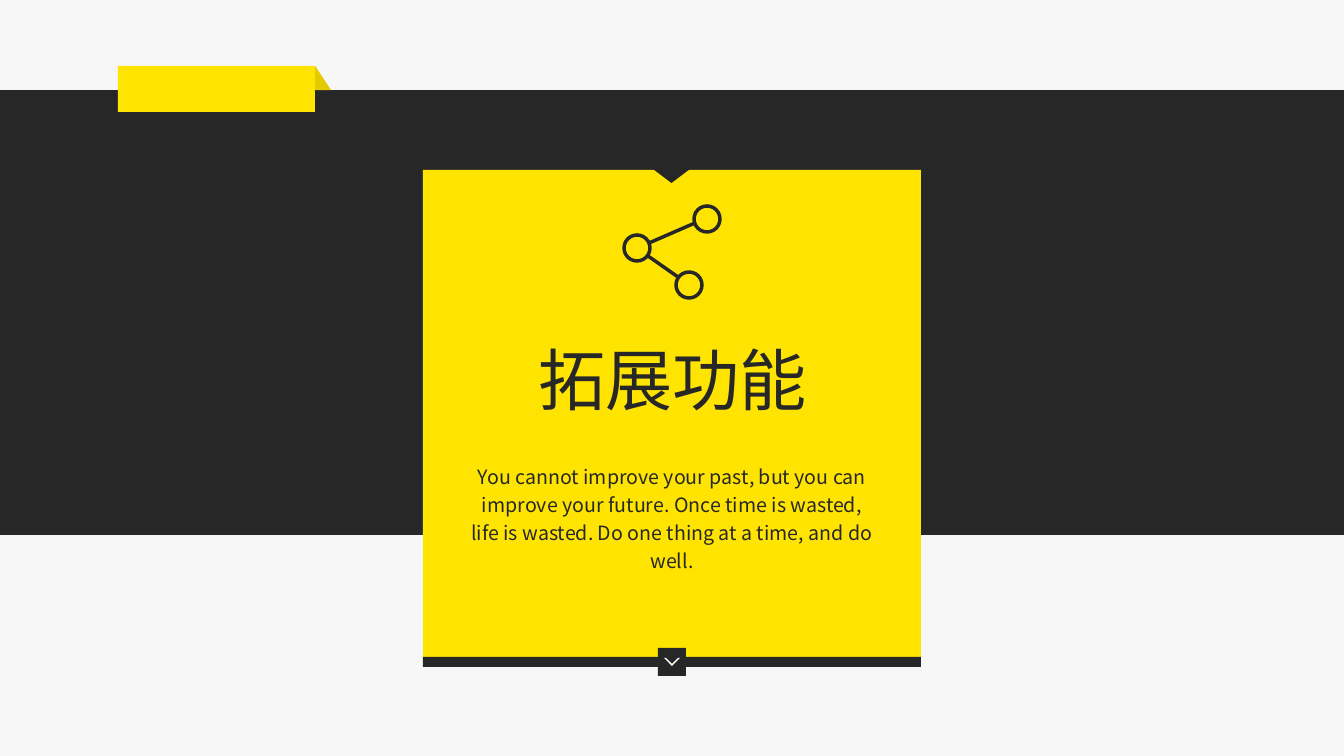
from lxml import etree
from pptx import Presentation
from pptx import util as u
from pptx.dml.color import RGBColor
from pptx.enum import shapes, text
from pptx.oxml import ns

PX = 914400 / 100.8
FONT = "Noto Sans CJK SC"
PAPER, DARK, YELLOW, FOLD, WHITE = "F7F7F7", "272727", "FFE401", "E2CC00", "FFFFFF"
KIND = shapes.MSO_SHAPE


def px(length):
    return u.Emu(round(length * PX))


def paint(fill, color):
    fill.solid()
    fill.fore_color.rgb = RGBColor.from_string(color)


def add_block(page, left, top, width, height, color, kind=KIND.RECTANGLE):
    block = page.shapes.add_shape(kind, px(left), px(top), px(width), px(height))
    block.shadow.inherit = False
    paint(block.fill, color)
    block.line.fill.background()
    return block


def add_outline(page, points, color):
    builder = page.shapes.build_freeform(*points[0], scale=PX)
    builder.add_line_segments(points[1:], close=True)
    outline = builder.convert_to_shape()
    outline.shadow.inherit = False
    paint(outline.fill, color)
    outline.line.fill.background()


def stroke(line, color):
    paint(line.fill, color)
    line.width = u.Pt(2.5)


def add_ring(page, x, y, radius, color):
    ring = add_block(page, x - radius, y - radius, 2 * radius, 2 * radius, color, KIND.OVAL)
    ring.fill.background()
    stroke(ring.line, color)


def add_link(page, start, end, color):
    link = page.shapes.add_connector(
        shapes.MSO_CONNECTOR.STRAIGHT, *map(px, start + end))
    stroke(link.line, color)
    etree.SubElement(link._element.spPr, ns.qn("a:effectLst"))


def write(box, words, size, color, spacing=1.0):
    frame = box.text_frame
    frame.word_wrap = True
    frame.auto_size = text.MSO_AUTO_SIZE.NONE
    frame.vertical_anchor = text.MSO_ANCHOR.TOP
    para = frame.paragraphs[0]
    para.alignment = text.PP_ALIGN.CENTER
    para.line_spacing = spacing
    span = para.add_run()
    span.text = words
    span.font.size = u.Pt(size)
    span.font.name = FONT
    paint(span.font.fill, color)
    east = etree.SubElement(span.font._element, ns.qn("a:ea"))
    east.set("typeface", FONT)


def add_title(page, left, top, width, height, words, **style):
    title = page.shapes.title
    title.left, title.top, title.width, title.height = map(px, (left, top, width, height))
    page.shapes._spTree.append(title._element)
    write(title, words, **style)


def add_text(page, left, top, width, height, words, **style):
    box = page.shapes.add_textbox(*map(px, (left, top, width, height)))
    write(box, words, **style)


def add_share_icon(page):
    for x, y in ((637, 248), (707, 219), (689, 285)):
        add_ring(page, x, y, 13, DARK)
    add_link(page, (649, 243), (695, 223), DARK)
    add_link(page, (648, 256), (678, 277), DARK)


def main():
    deck = Presentation()
    deck.slide_width, deck.slide_height = px(1344), px(756)
    page = deck.slides.add_slide(deck.slide_layouts.get_by_name("Title Only"))
    paint(page.background.fill, PAPER)

    add_block(page, 0, 90, 1344, 445, DARK)
    add_block(page, 118, 66, 197, 46, YELLOW)
    fold = add_block(page, 315, 66, 16, 24, FOLD, KIND.ISOSCELES_TRIANGLE)
    fold.adjustments[0] = 0.01

    add_block(page, 423, 170, 498, 487, YELLOW)
    add_title(page, 509, 333, 327, 92, "拓展功能", size=48, color=DARK)
    add_text(page, 458, 455, 428, 124,
             "You cannot improve your past, but you can improve your future. "
             "Once time is wasted, life is wasted. "
             "Do one thing at a time, and do well.",
             size=14, color=DARK, spacing=1.2)

    add_block(page, 423, 657, 498, 10, DARK)
    add_block(page, 658, 648, 28, 28, DARK)
    add_outline(page, [(664, 658), (666, 658), (672, 664),
                       (678, 658), (680, 658), (672, 666)], WHITE)
    notch = add_block(page, 645, 163, 53, 20, DARK, KIND.ISOSCELES_TRIANGLE)
    notch.rotation = 180
    add_share_icon(page)
    deck.save("out.pptx")


if __name__ == "__main__":
    main()
